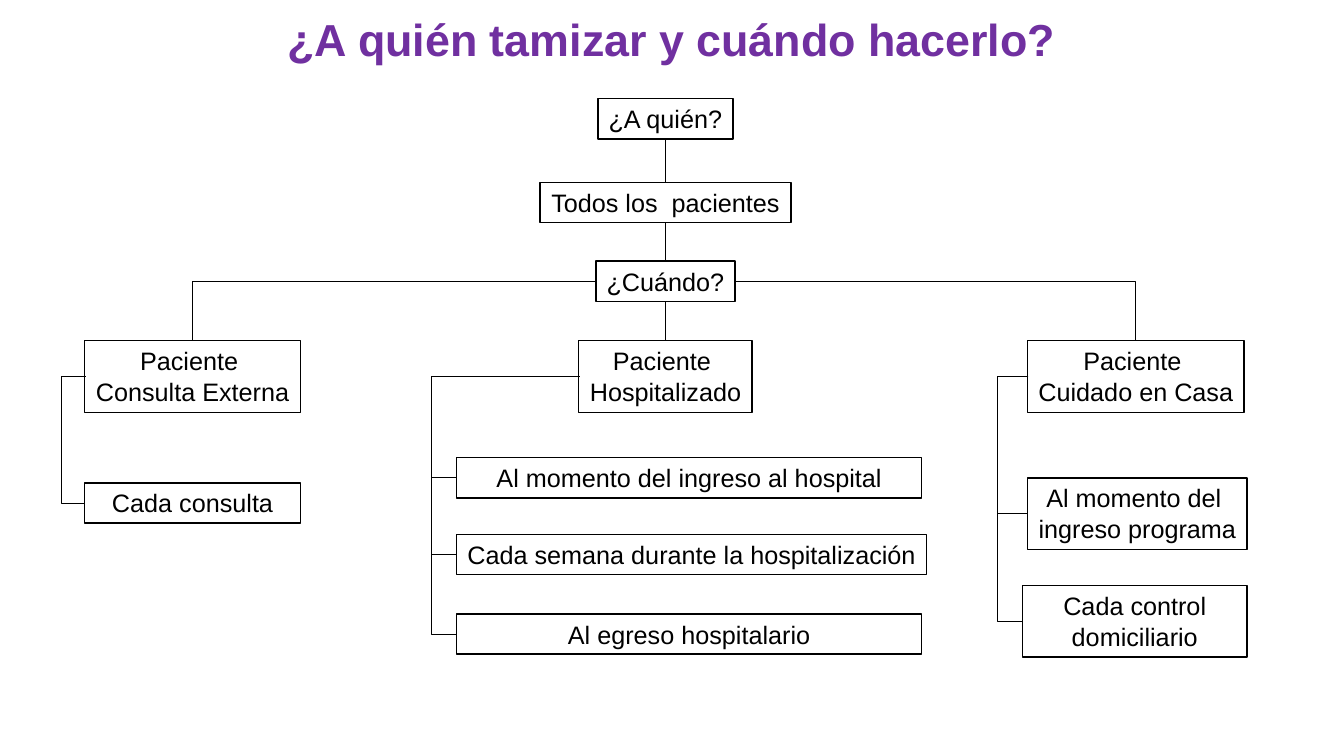
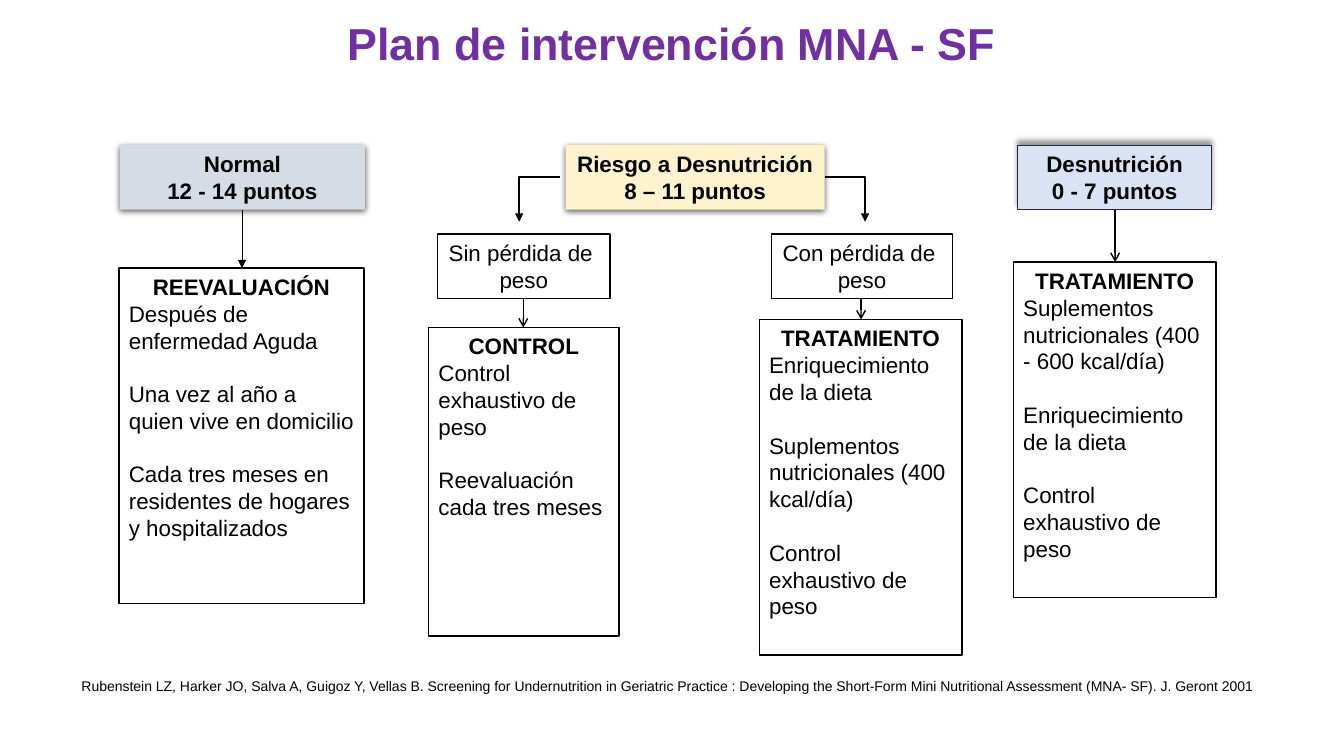
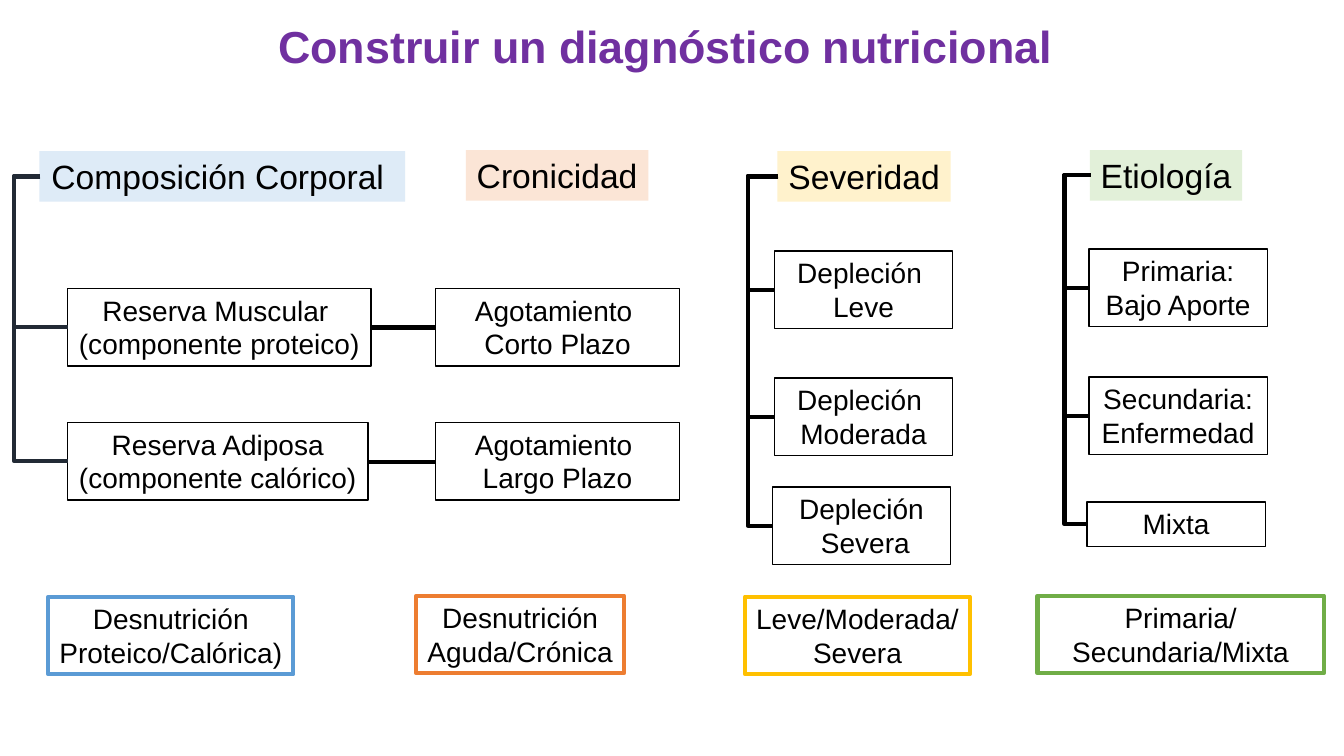
from lxml import etree
from pptx import Presentation
from pptx.dml.color import RGBColor as RGB
from pptx.enum.shapes import MSO_CONNECTOR as LINK, MSO_SHAPE as SHAPE
from pptx.enum.text import MSO_ANCHOR as ANCHOR, PP_ALIGN as ALIGN
from pptx.oxml.ns import qn
from pptx.util import Pt

PX = 9144  # 100 px to the inch
WIDE, HIGH = 1333, 750

BLACK, WHITE = RGB(0, 0, 0), RGB(255, 255, 255)
PURPLE = RGB(0x70, 0x30, 0xA0)
SLATE = RGB(0x22, 0x2A, 0x35)
BLUE, ORANGE = RGB(0x5B, 0x9B, 0xD5), RGB(0xED, 0x7D, 0x31)
GOLD, GREEN = RGB(0xFF, 0xC0, 0x00), RGB(0x70, 0xAD, 0x47)
SKY, PEACH = RGB(0xDE, 0xEB, 0xF7), RGB(0xFB, 0xE5, 0xD6)
CREAM, MINT = RGB(0xFF, 0xF2, 0xCC), RGB(0xE2, 0xF0, 0xD9)
GREY, ICE = RGB(0xD6, 0xDC, 0xE5), RGB(0xDA, 0xE3, 0xF3)

SOFT = dict(alpha=63, blur=4.5, dist=1.5, turn=90)
RAISED = dict(alpha=40, blur=4, dist=3, turn=270)


def px(*nums):
    return [round(n * PX) for n in nums]


def put(item, **fmt):
    for key, val in fmt.items():
        setattr(item, key, val)


def write(frame, lines, size, bold=False, color=BLACK, **fmt):
    """Fill a text frame with one paragraph a line."""
    for i, line in enumerate(lines):
        para = frame.paragraphs[0] if i == 0 else frame.add_paragraph()
        para.text = line
        put(para, **{"alignment": ALIGN.CENTER, **fmt})
        put(para.font, name="Arial", size=Pt(size), bold=bold)
        para.font.color.rgb = color


def title(slide, high, text):
    frame = slide.shapes.add_textbox(*px(0, 0, WIDE, high)).text_frame
    put(frame, word_wrap=True, vertical_anchor=ANCHOR.MIDDLE)
    write(frame, [text], 32, True, PURPLE, line_spacing=0.9)


def cast(shape, alpha, blur, dist, turn):
    """Give a shape an outer shadow."""
    effects = shape._element.spPr.find(qn("a:effectLst"))
    outer = etree.SubElement(
        effects, qn("a:outerShdw"), blurRad=str(Pt(blur)), dist=str(Pt(dist)),
        dir=str(turn * 60000), algn="ctr", rotWithShape="0")
    tint = etree.SubElement(outer, qn("a:srgbClr"), val=str(BLACK))
    etree.SubElement(tint, qn("a:alpha"), val=str(alpha * 1000))


def box(slide, x, y, w, h, text="", size=18, bold=False, fill=WHITE,
        line=BLACK, thick=1, shade=None):
    """Draw a box; a plain string wraps, a list keeps its own lines."""
    shape = slide.shapes.add_shape(SHAPE.RECTANGLE, *px(x, y, w, h))
    shape.shadow.inherit = False
    if shade:
        cast(shape, **shade)
    shape.fill.solid()
    shape.fill.fore_color.rgb = fill
    if line is None:
        shape.line.fill.background()
    else:
        shape.line.color.rgb = line
        shape.line.width = Pt(thick)
    frame = shape.text_frame
    wraps = isinstance(text, str)
    put(frame, word_wrap=wraps, vertical_anchor=ANCHOR.TOP)
    write(frame, [text] if wraps else text, size, bold)
    return frame


def link(slide, start, end, thick=0.5, color=BLACK, head=None, kind=LINK.STRAIGHT):
    line = slide.shapes.add_connector(kind, *px(*start, *end))
    line.line.color.rgb = color
    line.line.width = Pt(thick)
    props = line._element.spPr
    if head:
        etree.SubElement(props.find(qn("a:ln")), qn("a:tailEnd"), type=head)
    etree.SubElement(props, qn("a:effectLst"))
    return props.find(qn("a:prstGeom"))


def corner(slide, start, end, **fmt):
    """Link that runs sideways first, then up or down."""
    link(slide, start, end, kind=LINK.ELBOW, **fmt).set("prst", "bentConnector2")


def clamp(slide, start, end, spine, **fmt):
    """Link that turns twice, with its upright at x = spine."""
    geom = link(slide, start, end, kind=LINK.ELBOW, **fmt)
    ratio = (spine - start[0]) / (end[0] - start[0])
    guides = geom.find(qn("a:avLst"))
    if guides is None:
        guides = etree.SubElement(geom, qn("a:avLst"))
    etree.SubElement(guides, qn("a:gd"), name="adj1",
                     fmla=f"val {round(ratio * 100000)}")


def branch(slide, x, y, w, h, head, kids, spine=None, size=18, look=None, wire=None):
    """Head box with kids hung on a spine; kids and spine are offsets from the head."""
    box(slide, x, y, w, h, head, **(look or {}))
    for dx, dy, kw, kh, text in kids:
        box(slide, x + dx, y + dy, kw, kh, text, size)
        if spine is not None:
            clamp(slide, (x + 1, y + h / 2), (x + dx, y + dy + kh / 2),
                  x + spine, **(wire or {}))


def trunk(slide, mid, y):
    """Questions down the middle, with lines out to the three branches."""
    steps = [(0, 134, "¿A quién?"), (83, 249, "Todos los  pacientes"),
             (161, 138, "¿Cuándo?")]
    for dy, w, text in steps:
        box(slide, mid - w / 2, y + dy, w, 40, text)
    for top, low in ((40, 83), (123, 161), (201, 240)):
        link(slide, (mid, y + top), (mid, y + low))
    for side, far in ((-69, 191), (69, 1126)):
        corner(slide, (mid + side, y + 181), (far, y + 240))


def screening(slide):
    title(slide, 83, "¿A quién tamizar y cuándo hacerlo?")
    trunk(slide, 660, 98)
    branch(slide, 84, 338, 214, 71, ["Paciente ", "Consulta Externa"],
           [(0, 141, 214, 40, "Cada consulta")], -23)
    branch(slide, 574, 338, 172, 71, ["Paciente ", "Hospitalizado"],
           [(-121, 116, 461, 40, "Al momento del ingreso al hospital"),
            (-121, 192, 466, 40, "Cada semana durante la hospitalización"),
            (-121, 271, 461, 40, "Al egreso hospitalario")], -146)
    branch(slide, 1019, 338, 215, 71, ["Paciente ", "Cuidado en Casa"],
           [(0, 136, 218, 71, ["Al momento del ", "ingreso programa"]),
            (-5, 243, 223, 71, "Cada control domiciliario")], -30)


def card(slide, x, y, w, h, head, items):
    """Bold heading over spaced, left-aligned items."""
    frame = box(slide, x, y, w, h, head, 16, True)
    for i, item in enumerate(items):
        para = frame.add_paragraph()
        para.text = item
        put(para, alignment=ALIGN.LEFT, space_before=Pt(19 if i else 0))
        put(para.font, name="Arial", size=Pt(16), bold=False)
        para.font.color.rgb = BLACK


def plan(slide):
    title(slide, 92, "Plan de intervención MNA - SF")
    diet, weight = "Enriquecimiento de la dieta", "Control exhaustivo de peso"
    scores = [
        (119, 243, ["Normal", "12 - 14 puntos"], GREY, None, SOFT),
        (561, 257, ["Riesgo a Desnutrición", "8 – 11 puntos"], CREAM, None, SOFT),
        (1009, 193, ["Desnutrición", "0 - 7 puntos"], ICE, SLATE, RAISED)]
    for x, w, text, fill, line, shade in scores:
        box(slide, x, 144, w, 64, text, 16, True, fill, line, 0.75, shade)
    for x, w, text in ((434, 171, ["Sin pérdida de ", "peso"]),
                       (765, 180, ["Con pérdida de ", "peso"])):
        box(slide, x, 232, w, 64, text, 16)
    cards = [
        (118, 266, 243, 333, "REEVALUACIÓN",
         ["Después de enfermedad Aguda", "Una vez al año a quien vive en domicilio",
          "Cada tres meses en residentes de hogares y hospitalizados"]),
        (425, 325, 189, 306, "CONTROL", [weight, "Reevaluación cada tres meses"]),
        (753, 317, 201, 333, "TRATAMIENTO",
         [diet, "Suplementos nutricionales (400 kcal/día)", weight]),
        (1005, 260, 201, 333, "TRATAMIENTO",
         ["Suplementos nutricionales (400 - 600 kcal/día)", diet, weight])]
    for spot in cards:
        card(slide, *spot)
    for x, top, low, thick, head in ((240, 208, 266, 0.5, "triangle"),
                                     (519, 296, 325, 1, "arrow"),
                                     (854, 296, 317, 1, "arrow"),
                                     (1106, 208, 260, 1, "arrow")):
        link(slide, (x, top), (x, low), thick, head=head)
    for near, far in ((555, 515), (818, 858)):
        corner(slide, (near, 176), (far, 220), thick=1.5, head="triangle")
    note = slide.shapes.add_textbox(*px(71, 667, 1263, 27)).text_frame
    note.word_wrap = True
    write(note, ["Rubenstein LZ, Harker JO, Salva A, Guigoz Y, Vellas B. Screening for "
                 "Undernutrition in Geriatric Practice : Developing the Short-Form Mini "
                 "Nutritional Assessment (MNA- SF). J. Geront 2001"],
          10, alignment=ALIGN.LEFT)


def column(slide, x, y, w, head, fill, kids, goal, spine=None, color=BLACK):
    """One axis of the diagnosis, with its framed outcome below."""
    branch(slide, x, y, w, 50, head, kids, spine, 20,
           dict(size=24, fill=fill, line=None), dict(thick=3, color=color))
    dx, wide, text, edge = goal
    box(slide, x + dx, y + 442, wide, 77, text, 20, line=edge, thick=3)


def diagnosis(slide):
    title(slide, 98, "Construir un diagnóstico nutricional ")
    column(slide, 39, 150, 363, "Composición Corporal ", SKY,
           [(28, 136, 301, 77, ["Reserva Muscular ", "(componente proteico)"]),
            (28, 269, 298, 77, ["Reserva Adiposa", "(componente calórico)"])],
           (9, 243, ["Desnutrición", "Proteico/Calórica)"], BLUE), -25, SLATE)
    column(slide, 462, 149, 181, "Cronicidad", PEACH,
           [(-30, 137, 242, 77, ["Agotamiento ", "Corto Plazo"]),
            (-30, 270, 242, 77, ["Agotamiento ", "Largo Plazo"])],
           (-49, 206, ["Desnutrición", "Aguda/Crónica"], ORANGE))
    column(slide, 771, 150, 172, "Severidad", CREAM,
           [(-3, 99, 177, 77, ["Depleción ", "Leve"]),
            (-3, 225, 177, 77, ["Depleción ", "Moderada"]),
            (-5, 333, 177, 77, ["Depleción", " Severa"])],
           (-32, 223, ["Leve/Moderada/", "Severa"], GOLD), -29)
    column(slide, 1081, 149, 151, "Etiología", MINT,
           [(-1, 98, 177, 77, "Primaria: Bajo Aporte"),
            (-1, 225, 177, 77, "Secundaria: Enfermedad"),
            (-3, 349, 177, 44, "Mixta")],
           (-52, 284, "Primaria/Secundaria/Mixta", GREEN), -25)
    for x, y in ((368, 325), (365, 458)):
        link(slide, (x, y), (432, y), 3)


def main():
    deck = Presentation()
    put(deck, slide_width=WIDE * PX, slide_height=HIGH * PX)
    for fill in (screening, plan, diagnosis):
        fill(deck.slides.add_slide(deck.slide_layouts[6]))
    deck.save("out.pptx")


if __name__ == "__main__":
    main()
